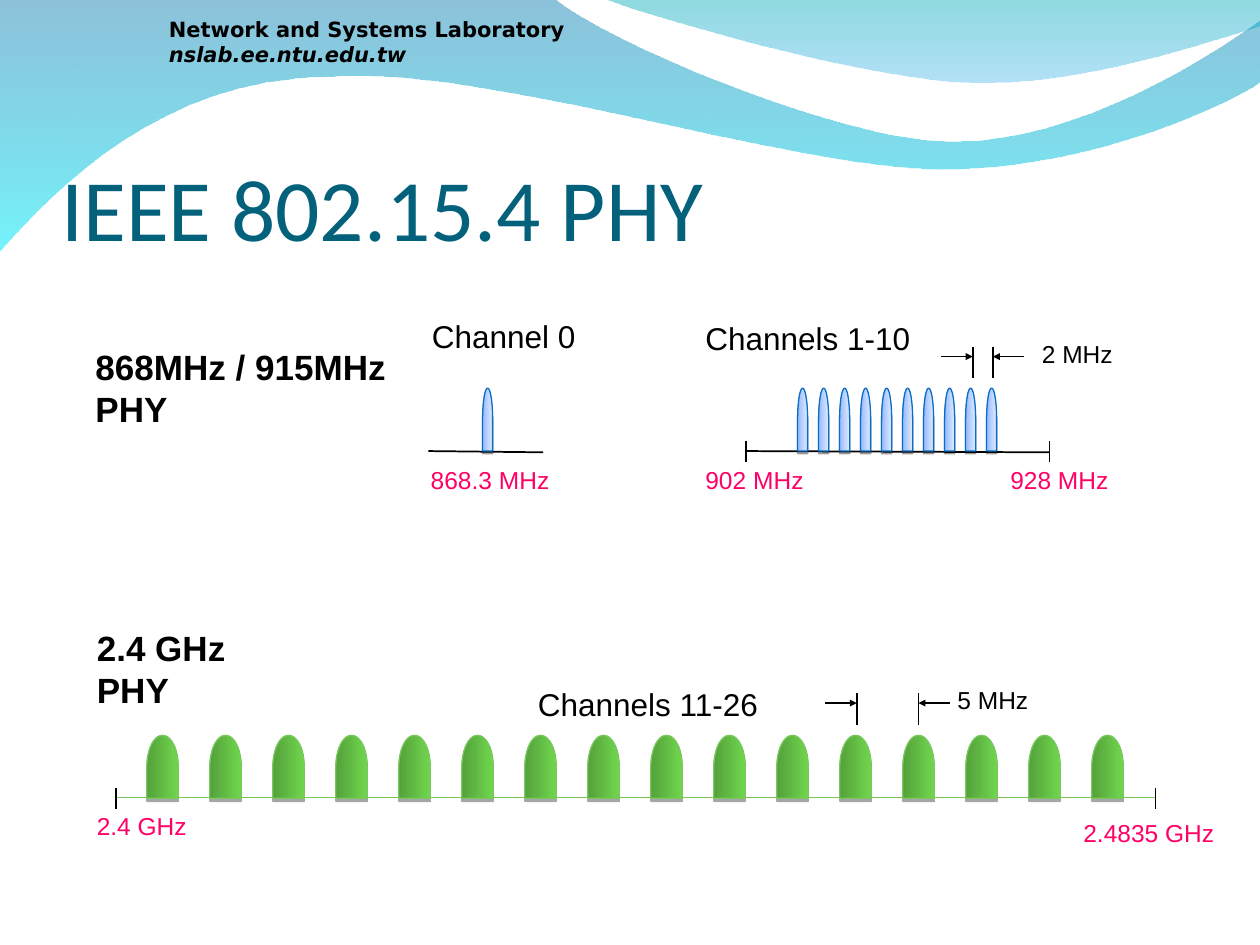
from pptx import Presentation
from pptx.dml.color import RGBColor as Rgb
from pptx.enum.shapes import MSO_CONNECTOR as Link, MSO_SHAPE as Kind
from pptx.enum.text import MSO_ANCHOR as Anchor, MSO_AUTO_SIZE as Size, PP_ALIGN as Align
from pptx.oxml.ns import qn
from pptx.util import Inches, Pt
from lxml.etree import SubElement as Sub

HEX = {
    "black": "000000", "pink": "FF0066", "title": "04617B",
    "leaf": "54A13B", "lime": "70D64D", "moss": "78C85D",
    "sky": "93B8FF", "ice": "E1EBFF", "blue": "0A6DC6",
    "sea": "0079AF", "aqua": "00EBF8", "teal": "00ADB6", "azure": "009BE5",
}
GREEN = {"ramp": ("leaf", "lime"), "edge": "moss", "shade": (35, 1.8)}
BLUE = {"ramp": ("sky", "ice"), "edge": "blue", "shade": (38, 1.6)}


class Deck:
    """Hold the style and the current slide."""

    def __init__(self, wide, high):
        self.file = Presentation()
        self.file.slide_width, self.file.slide_height = Inches(wide), Inches(high)
        self.slide = self.file.slides.add_slide(self.file.slide_layouts[6])
        self.shapes = self.slide.shapes

    def tint(self, name):
        return Rgb.from_string(HEX[name])

    def ramp(self, shape, names, angle, alphas=()):
        shape.fill.gradient()
        shape.fill.gradient_angle = angle
        for stop, name, place in zip(shape.fill.gradient_stops, names, (0, 1)):
            stop.color.rgb, stop.position = self.tint(name), place
        grad = shape._element.spPr.find(qn("a:gradFill"))
        grad.set("rotWithShape", "0")
        for clr, alpha in zip(grad.iter(qn("a:srgbClr")), alphas):
            Sub(clr, qn("a:alpha"), val=str(alpha * 1000))

    def wave(self, start, parts, names, alphas):
        form = self.shapes.build_freeform(*(Inches(v) for v in start))
        form.add_line_segments([(Inches(x), Inches(y)) for part in parts for x, y in part])
        shape = form.convert_to_shape()
        shape.shadow.inherit = False
        shape.line.fill.background()
        self.ramp(shape, names, 270, alphas)
        self.bend(shape, parts)

    def bend(self, shape, parts):
        steps = iter(list(shape._element.iter(qn("a:lnTo"))))
        for part in parts:
            group = [next(steps) for _ in part]
            if len(group) == 3:
                curve = group[0].makeelement(qn("a:cubicBezTo"))
                group[0].addprevious(curve)
                for step in group:
                    curve.append(step[0])
                    step.getparent().remove(step)

    def peak(self, left, top, high, look):
        shape = self.shapes.add_shape(
            Kind.FLOWCHART_DELAY, Inches(left), Inches(top), Inches(0.5), Inches(high))
        shape.rotation = 270
        self.ramp(shape, look["ramp"], 0)
        shape.line.color.rgb, shape.line.width = self.tint(look["edge"]), Pt(0.75)
        shape.shadow.inherit = False
        alpha, dist = look["shade"]
        cast = Sub(shape._element.spPr.find(qn("a:effectLst")), qn("a:outerShdw"),
                   blurRad="0", dist=str(Pt(dist)), dir="5400000", rotWithShape="0")
        clr = Sub(cast, qn("a:srgbClr"), val=HEX["black"])
        Sub(clr, qn("a:alpha"), val=str(alpha * 1000))

    def line(self, x, y, right, low, name="black", width=1, head=False):
        wire = self.shapes.add_connector(
            Link.STRAIGHT, *(Inches(v) for v in (x, y, right, low)))
        wire.line.color.rgb, wire.line.width = self.tint(name), Pt(width)
        props = wire._element.spPr
        if head:
            Sub(props.find(qn("a:ln")), qn("a:tailEnd"), type="triangle", w="sm", len="sm")
        Sub(props, qn("a:effectLst"))

    def text(self, rows, at, size, name="black", face="Arial", wrap=True, grow=True,
             pad=(0.1, 0.05), align=Align.LEFT, bold=False, slant=()):
        box = self.shapes.add_textbox(*(Inches(v) for v in at))
        frame = box.text_frame
        form = {
            "word_wrap": wrap, "vertical_anchor": Anchor.TOP,
            "auto_size": Size.SHAPE_TO_FIT_TEXT if grow else Size.NONE,
            "margin_left": Inches(pad[0]), "margin_right": Inches(pad[0]),
            "margin_top": Inches(pad[1]), "margin_bottom": Inches(pad[1]),
        }
        for key, val in form.items():
            setattr(frame, key, val)
        for num, row in enumerate(rows):
            para = frame.add_paragraph() if num else frame.paragraphs[0]
            para.alignment = align
            run = para.add_run()
            run.text = row
            run.font.color.rgb = self.tint(name)
            style = {"size": Pt(size), "name": face, "bold": bold, "italic": num in slant}
            for key, val in style.items():
                setattr(run.font, key, val)

    def label(self, row, x, y, wide, size=14, name="black", align=Align.LEFT):
        high = 0.4 if size > 14 else 0.34
        self.text([row], (x, y, wide, high), size, name, wrap=False, align=align)

    def gap(self, left, right, top):
        for x, tail in ((left, left - 0.25), (right, right + 0.25)):
            self.line(x, top, x, top + 0.25)
            self.line(tail, top + 0.08, x, top + 0.08, head=True)


def main():
    deck = Deck(10, 7.5)
    deck.wave((0, 0), [
        [(4.4, -0.01)],
        [(4.76, 0.3), (6.64, 1.12), (7.58, 1.12)],
        [(8.53, 1.12), (9.58, 0.46), (10, 0.16)],
        [(10.01, 0.64)],
        [(9.83, 0.78), (8.7, 1.34), (7.46, 1.34)],
        [(6.22, 1.33), (3.82, 0.5), (2.57, 0.61)],
        [(1.29, 0.63), (0.46, 1.47), (-0.01, 2)],
    ], ("sea", "aqua"), (45, 55))
    deck.wave((4.79, -0.01), [
        [(5.09, 0.11), (6.82, 0.62), (7.69, 0.65)],
        [(8.56, 0.69), (9.61, 0.32), (10, 0.21)],
        [(10, 0)],
    ], ("teal", "azure"), (45, 30))
    deck.text(["Network and Systems Laboratory", "nslab.ee.ntu.edu.tw"],
              (1.25, 0.09, 3.75, 0.49), 12, face="DejaVu Sans", pad=(0.09, 0.04),
              bold=True, slant=(1,))
    deck.text(["IEEE 802.15.4 PHY"], (0.39, 1.17, 9, 1.25), 50, "title", "Calibri",
              grow=False)
    deck.text(["868MHz / 915MHz", "PHY"], (0.66, 2.69, 3.17, 0.77), 20, bold=True)
    deck.text(["2.4 GHz", "PHY"], (0.67, 4.92, 1.42, 0.77), 20, bold=True)

    deck.line(3.4, 3.58, 4.31, 3.59)
    deck.line(5.92, 3.58, 8.33, 3.59)
    deck.line(0.92, 6.33, 9.17, 6.33, "moss", 0.75)
    for num in range(16):
        deck.peak(1.04 + num / 2, 5.96, 0.25, GREEN)
    for left in [3.62] + [6.12 + num / 6 for num in range(10)]:
        deck.peak(left, 3.29, 0.08, BLUE)
    for x, y in ((5.92, 3.5), (8.33, 3.5), (0.92, 6.25), (9.17, 6.25)):
        deck.line(x, y, x, y + 0.17)
    deck.gap(7.72, 7.88, 2.75)
    deck.gap(6.8, 7.29, 5.5)

    for row, x, y, wide in (("Channel 0", 3.33, 2.47, 1.36),
                            ("Channels 1-10", 5.5, 2.48, 1.84),
                            ("Channels 11-26", 4.17, 5.39, 1.98)):
        deck.label(row, x, y, wide, 18)
    for row, x, y, wide in (("902 MHz", 5.5, 3.64, 1),
                            ("928 MHz", 7.92, 3.64, 1),
                            ("2.4 GHz", 0.67, 6.39, 0.93),
                            ("2.4835 GHz", 8.5, 6.44, 1.26)):
        deck.label(row, x, y, wide, name="pink")
    deck.label("868.3 MHz", 3.32, 3.64, 1.14, name="pink", align=Align.CENTER)
    deck.label("2 MHz", 8.17, 2.64, 0.78)
    deck.label("5 MHz", 7.5, 5.39, 0.78)
    deck.file.save("out.pptx")


if __name__ == "__main__":
    main()
